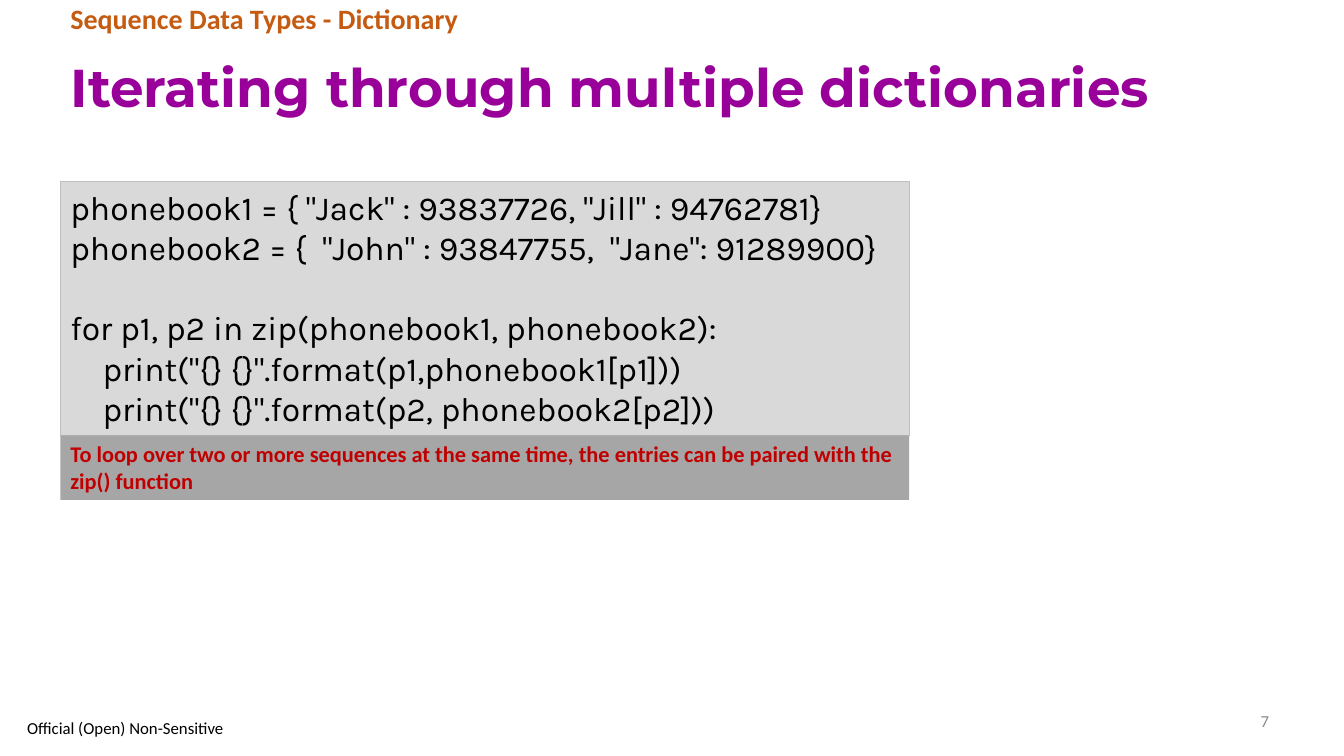
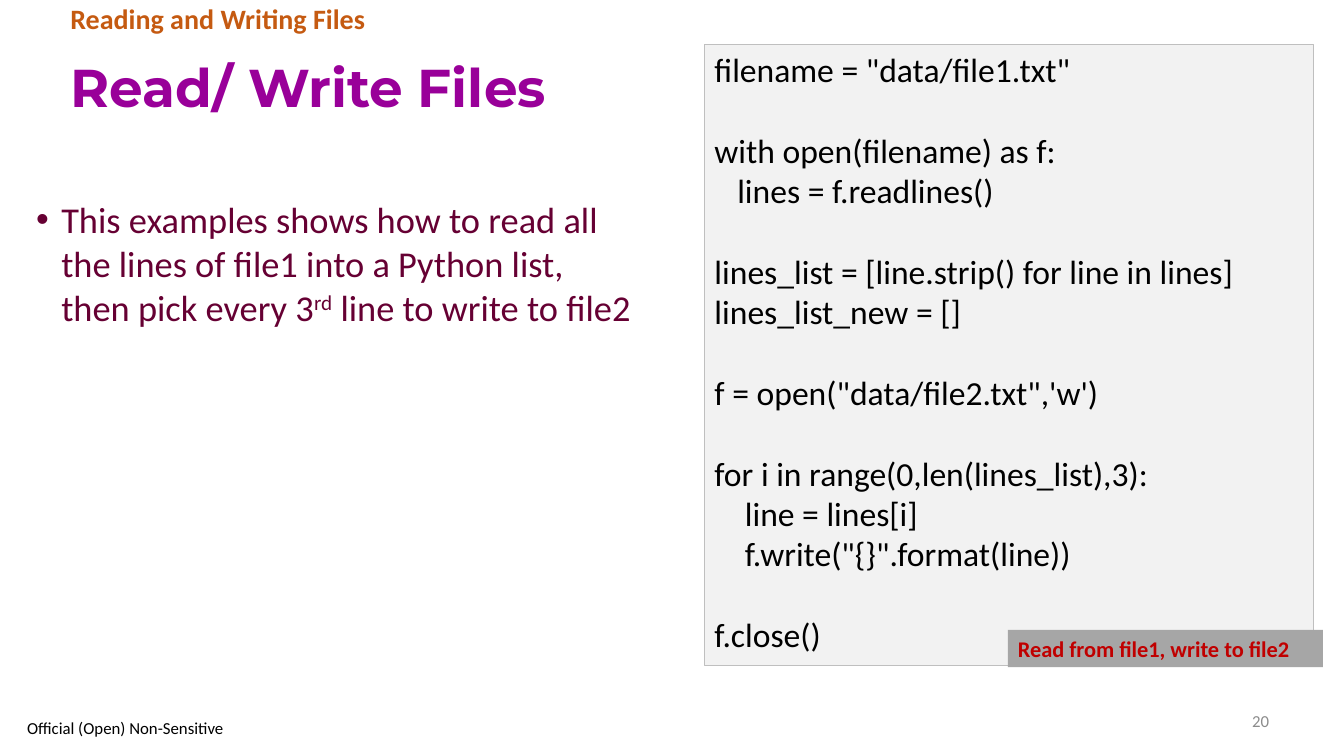
from pptx import Presentation
from pptx.dml.color import RGBColor
from pptx.enum.shapes import MSO_SHAPE
from pptx.enum.text import MSO_ANCHOR, MSO_AUTO_SIZE, PP_ALIGN
from pptx.oxml.ns import qn
from pptx.util import Pt
from lxml.etree import SubElement

HUES = {
    "title": "990099", "topic": "C55A11", "body": "660033", "code": "000000",
    "note": "C00000", "page": "8C8C8C", "edge": "BFBFBF", "band": "A6A6A6",
    "dark": "D9D9D9", "light": "F2F2F2",
}
LEFT = 43.2
LINE = 28.8


def tint(name):
    """Return the named colour."""
    return RGBColor.from_string(HUES[name])


def place(shape, box):
    """Move a shape to a box given in points."""
    shape.left, shape.top, shape.width, shape.height = map(Pt, box)


def setup(shape, anchor=MSO_ANCHOR.TOP):
    """Prepare a text frame and return it."""
    frame = shape.text_frame
    frame.word_wrap = True
    frame.auto_size = MSO_AUTO_SIZE.NONE
    frame.vertical_anchor = anchor
    return frame


def write(para, text, size, hue, face="Calibri", bold=False):
    """Add one styled run to a paragraph."""
    run = para.add_run()
    run.text = text
    font = run.font
    font.size, font.name, font.bold = Pt(size), face, bold
    font.color.rgb = tint(hue)
    return run


def label(slide, box, text, size, hue, bold=False, align=PP_ALIGN.LEFT,
          anchor=MSO_ANCHOR.MIDDLE):
    """Add a one-line text box."""
    shape = slide.shapes.add_textbox(*map(Pt, box))
    para = setup(shape, anchor).paragraphs[0]
    para.alignment = align
    write(para, text, size, hue, bold=bold)
    return para


def panel(slide, box, fill, edge=None):
    """Add a flat rectangle and return its text frame."""
    shape = slide.shapes.add_shape(MSO_SHAPE.RECTANGLE, *map(Pt, box))
    shape.shadow.inherit = False
    shape.fill.solid()
    shape.fill.fore_color.rgb = tint(fill)
    if edge:
        shape.line.color.rgb = tint(edge)
        shape.line.width = Pt(0.75)
    else:
        shape.line.fill.background()
    return setup(shape)


def code(slide, box, fill, face, lines):
    """Add a code panel from rows of text, indent and blank lines above."""
    frame = panel(slide, box, fill, "edge")
    for spot, (text, indent, gap) in enumerate(lines):
        para = frame.paragraphs[0] if spot == 0 else frame.add_paragraph()
        para.alignment = PP_ALIGN.LEFT
        para.space_before = Pt(gap * LINE)
        para._p.get_or_add_pPr().set("marL", str(Pt(indent)))
        write(para, text, 24, "code", face)


def note(slide, box, text):
    """Add a grey band with a red remark."""
    para = panel(slide, box, "band").paragraphs[0]
    para.alignment = PP_ALIGN.LEFT
    write(para, text, 16, "note", bold=True)


def bullet(slide, box, parts):
    """Add a bulleted text of plain and raised parts."""
    shape = slide.shapes.add_textbox(*map(Pt, box))
    para = setup(shape).paragraphs[0]
    props = para._p.get_or_add_pPr()
    props.set("marL", str(Pt(18)))
    props.set("indent", str(Pt(-18)))
    SubElement(props, qn("a:buFont")).set("typeface", "Arial")
    SubElement(props, qn("a:buChar")).set("char", "•")
    for text, rise in parts:
        run = write(para, text, 26, "body")
        if rise:
            run.font._element.set("baseline", "30000")


def base(deck, topic, title, page):
    """Add a slide with topic, title, page number and footer."""
    slide = deck.slides.add_slide(deck.slide_layouts[5])
    head = slide.shapes.title
    place(head, (LEFT, 29.5, 870.5, 69.8))
    para = setup(head, MSO_ANCHOR.MIDDLE).paragraphs[0]
    para.alignment = PP_ALIGN.LEFT
    para.line_spacing = 0.9
    write(para, title, 38, "title", "Montserrat", True)
    para = label(slide, (LEFT, 0, 744.5, 29.5), topic, 20, "topic", True,
                 anchor=MSO_ANCHOR.TOP)
    para.line_spacing = 0.9
    label(slide, (678.2, 500.4, 235.4, 28.8), page, 12, "page",
          align=PP_ALIGN.RIGHT)
    label(slide, (12.24, 510.5, 161.3, 18.7),
          "Official (Open) Non-Sensitive", 12, "code")
    return slide


def loops(deck):
    """Build the slide on iterating dictionaries."""
    slide = base(deck, "Sequence Data Types - Dictionary",
                 "Iterating through multiple dictionaries", "7")
    top, wide, tall = 129.6, 606.2, 181.4
    code(slide, (LEFT, top, wide, tall), "dark", "Karla", [
        ('phonebook1 = { "Jack" : 93837726, "Jill" : 94762781}', 0, 0),
        ('phonebook2 = {  "John" : 93847755,  "Jane": 91289900}', 0, 0),
        ("for p1, p2 in zip(phonebook1, phonebook2):", 0, 1),
        ('print("{} {}".format(p1,phonebook1[p1]))', 23, 0),
        ('print("{} {}".format(p2, phonebook2[p2]))', 23, 0),
    ])
    note(slide, (LEFT, top + tall, wide, 46),
         "To loop over two or more sequences at the same time, "
         "the entries can be paired with the zip() function")


def files(deck):
    """Build the slide on reading and writing files."""
    slide = base(deck, "Reading and Writing Files", "Read/ Write Files", "20")
    bullet(slide, (18.7, 137.5, 439.2, 100), [
        ("This examples shows how to read all the lines of file1 into "
         "a Python list, then pick every 3", False),
        ("rd", True),
        (" line to write to file2", False),
    ])
    code(slide, (503.3, 31.7, 434.9, 443.5), "light", "Calibri", [
        ('filename = "data/file1.txt"', 0, 0),
        ("with open(filename) as f:", 0, 1),
        ("lines = f.readlines()", 16.3, 0),
        ("lines_list = [line.strip() for line in lines]", 0, 1),
        ("lines_list_new = []", 0, 0),
        ("f = open(\"data/file2.txt\",'w')", 0, 1),
        ("for i in range(0,len(lines_list),3):", 0, 1),
        ("line = lines[i]", 21.7, 0),
        ('f.write("{}".format(line))', 21.7, 0),
        ("f.close()", 0, 1),
    ])
    note(slide, (720, 450, 224.9, 26.6), "Read from file1, write to file2")


def main():
    """Build and save the deck."""
    deck = Presentation()
    deck.slide_width, deck.slide_height = Pt(960), Pt(540)
    loops(deck)
    files(deck)
    deck.save("out.pptx")


if __name__ == "__main__":
    main()
